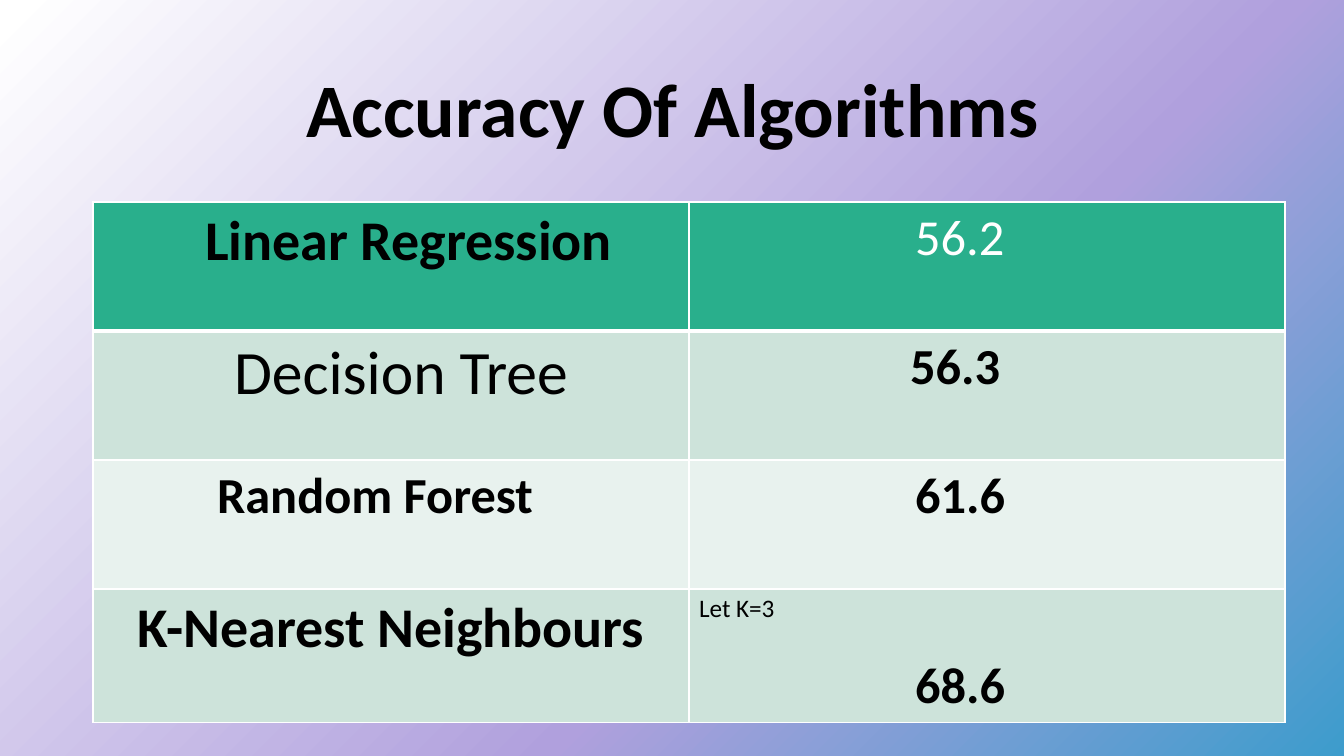
from lxml import etree
from pptx import Presentation
from pptx import util as u
from pptx.dml.color import RGBColor
from pptx.enum import text
from pptx.oxml.ns import qn


def rgb(hex_colour):
    return RGBColor.from_string(hex_colour)


def px(n):
    return u.Emu(round(n * 914400 / 100.8))


class Deck:
    font = "Calibri"
    ink = "000000"
    white = "FFFFFF"
    header = "29AF8C"
    bands = ("CDE3DA", "E8F2EE")

    def __init__(self):
        self.prs = Presentation()
        self.prs.slide_width, self.prs.slide_height = px(1344), px(756)
        self.s = self.prs.slides.add_slide(self.prs.slide_layouts[5])

    def background(self, stops, angle):
        """Fill with (percent, colour) stops; the angle is clockwise."""
        fill = self.s.background.fill
        fill.gradient()
        fill.gradient_angle = 360 - angle
        gs_list = next(self.s.element.iter(qn("a:gsLst")))
        for gs in list(gs_list):
            gs_list.remove(gs)
        for percent, colour in stops:
            gs = etree.SubElement(gs_list, qn("a:gs"), pos=str(percent * 1000))
            etree.SubElement(gs, qn("a:srgbClr"), val=colour)

    def format(self, p, size, bold, colour):
        p.font.name, p.font.size, p.font.bold = self.font, u.Pt(size), bold
        p.font.color.rgb = rgb(colour)

    def title(self, words, x, y, w, h, size):
        sp = self.s.shapes.title
        sp.left, sp.top, sp.width, sp.height = map(px, (x, y, w, h))
        tf = sp.text_frame
        tf.text = words
        tf.vertical_anchor = text.MSO_ANCHOR.MIDDLE
        p = tf.paragraphs[0]
        p.alignment = text.PP_ALIGN.CENTER
        p.line_spacing = 0.9
        self.format(p, size, True, self.ink)

    def border(self, cell, side, points):
        ln = etree.SubElement(cell._tc.get_or_add_tcPr(), qn("a:ln" + side),
                              w=str(u.Pt(points)))
        fill = etree.SubElement(ln, qn("a:solidFill"))
        etree.SubElement(fill, qn("a:srgbClr"), val=self.white)

    def cell(self, cell, row, lines):
        """Write lines of (words, size, bold, colour, indent, space before)."""
        widths = {"L": 1, "R": 1, "T": 3 if row == 1 else 1, "B": 3 if row == 0 else 1}
        for side, points in widths.items():
            self.border(cell, side, points)
        cell.fill.solid()
        cell.fill.fore_color.rgb = rgb(self.bands[(row - 1) % 2] if row else self.header)
        tf = cell.text_frame
        for i, (words, size, bold, colour, indent, before) in enumerate(lines):
            p = tf.add_paragraph() if i else tf.paragraphs[0]
            p.text = words
            p.space_before = u.Pt(before)
            p._p.get_or_add_pPr().set("marL", str(px(indent)))
            self.format(p, size, bold, colour)

    def table(self, rows, x, y, col_width, heights):
        cols = len(rows[0])
        table = self.s.shapes.add_table(len(rows), cols, px(x), px(y),
                                        px(col_width * cols), px(sum(heights))).table
        table.first_row = table.horz_banding = False
        for col in table.columns:
            col.width = px(col_width)
        for r, (cells, height) in enumerate(zip(rows, heights)):
            table.rows[r].height = px(height)
            for c, lines in enumerate(cells):
                self.cell(table.cell(r, c), r, lines)


def main():
    deck = Deck()
    ink, white = deck.ink, deck.white
    deck.background([(1, white), (62, "B0A0DD"), (100, "3D9CCC")], 45)
    deck.title("Accuracy Of Algorithms", 93, 40, 1159, 146, 54)
    accuracies = [
        [[("Linear Regression", 40, True, ink, 102, 0)],
         [("56.2", 36, False, white, 216, 0)]],
        [[("Decision Tree", 44, False, ink, 131, 0)],
         [("56.3", 36, True, ink, 211, 0)]],
        [[("Random Forest", 36, True, ink, 114, 0)],
         [("61.6", 36, True, ink, 216, 0)]],
        [[("K-Nearest Neighbours", 40, True, ink, 34, 0)],
         [("Let K=3", 18, False, ink, 0, 0), ("68.6", 36, True, ink, 216, 22)]],
    ]
    deck.table(accuracies, 93, 202, 596, [129, 129, 129, 133])
    deck.prs.save("out.pptx")


if __name__ == "__main__":
    main()
